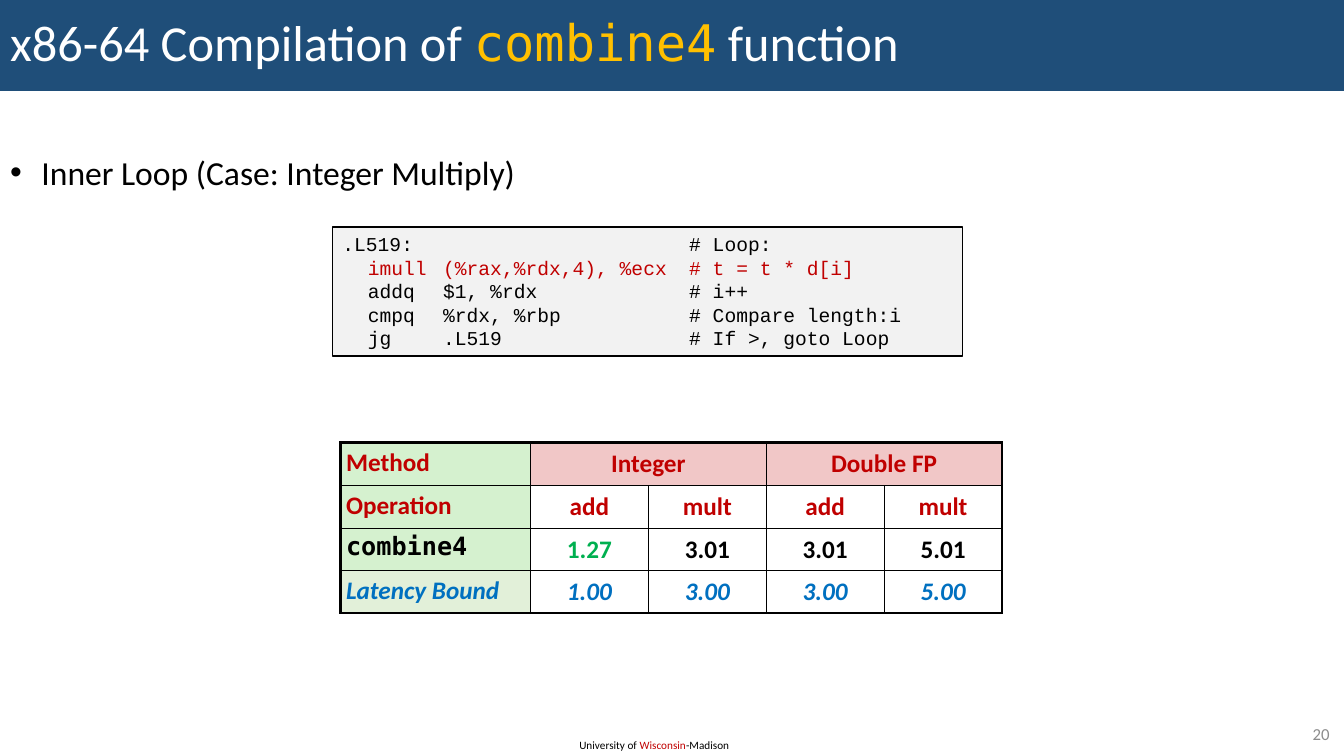
from lxml.etree import SubElement
from pptx import Presentation
from pptx.dml.color import RGBColor as RGB
from pptx.enum.shapes import MSO_SHAPE as SHAPE
from pptx.enum.text import MSO_ANCHOR as ANCHOR, MSO_AUTO_SIZE as AUTO, PP_ALIGN as ALIGN
from pptx.oxml.ns import qn
from pptx.util import Cm, Pt

COLORS = {
    "black": "000000", "white": "FFFFFF", "navy": "1F4E79", "gold": "FFC000",
    "red": "C00000", "green": "00B050", "blue": "0070C0", "gray": "8C8C8C",
    "code": "F2F2F2", "mint": "D5F1CF", "pale_mint": "E2F0D9", "pink": "F1C7C7",
}
SANS, MONO, CODE = "Calibri", "DejaVu Sans Mono", "Courier New"

CODE_TABS = (0.64, 2.54, 8.74)
CODE_LINES = [
    (".L519:\t\t# Loop:", "black"),
    ("\timull\t(%rax,%rdx,4), %ecx\t# t = t * d[i]", "red"),
    ("\taddq\t$1, %rdx\t# i++", "black"),
    ("\tcmpq\t%rdx, %rbp\t# Compare length:i", "black"),
    ("\tjg\t.L519\t# If >, goto Loop", "black"),
]

# Each row: label fill, text format of the label, text format of the values, texts
HEAD = {"color": "red"}
BOUND = {"color": "blue", "italic": True}
ROWS = [
    ("mint", HEAD, HEAD, ["Method", "Integer", "", "Double FP", ""]),
    ("mint", HEAD, HEAD, ["Operation", "add", "mult", "add", "mult"]),
    ("mint", {"name": MONO}, {}, ["combine4", "1.27", "3.01", "3.01", "5.01"]),
    ("pale_mint", BOUND, BOUND, ["Latency Bound", "1.00", "3.00", "3.00", "5.00"]),
]


def rgb(color):
    return RGB.from_string(COLORS[color])


def set_all(target, values):
    for name, value in values.items():
        setattr(target, name, value)


def add_run(p, text, size, color="black", **font):
    r = p.add_run()
    r.text = text
    set_all(r.font, {"name": SANS, "size": Pt(size), **font})
    r.font.color.rgb = rgb(color)


def place(sp, left, top, width, height):
    set_all(sp, {"left": Cm(left), "top": Cm(top), "width": Cm(width), "height": Cm(height)})


def fill(target, color):
    target.fill.solid()
    target.fill.fore_color.rgb = rgb(color)


def add_title(s, runs):
    sp = s.shapes.title
    place(sp, 0, 0, 33.87, 2.29)
    fill(sp, "navy")
    set_all(sp.text_frame, {"auto_size": AUTO.NONE, "vertical_anchor": ANCHOR.MIDDLE})
    p = sp.text_frame.paragraphs[0]
    set_all(p, {"alignment": ALIGN.LEFT, "line_spacing": 0.9, "space_before": Pt(0)})
    for text, font in runs:
        add_run(p, text, 36, **font)


def add_bullet(s, text):
    sp = s.placeholders[1]
    place(sp, 0, 3.81, 22.94, 1.9)
    sp.text_frame.auto_size = AUTO.NONE
    p = sp.text_frame.paragraphs[0]
    pPr = p._p.get_or_add_pPr()
    pPr.set("marL", str(Cm(0.79)))
    pPr.set("indent", str(-Cm(0.79)))
    SubElement(pPr, qn("a:buFont"), typeface="Arial")
    SubElement(pPr, qn("a:buChar"), char="•")
    set_all(p, {"line_spacing": 0.9, "space_before": Pt(0)})
    add_run(p, text, 24)


def add_text(s, box, runs, size, align=ALIGN.LEFT, anchor=ANCHOR.TOP):
    tf = s.shapes.add_textbox(*map(Cm, box)).text_frame
    set_all(tf, {"word_wrap": True, "vertical_anchor": anchor})
    p = tf.paragraphs[0]
    p.alignment = align
    for text, color in runs:
        add_run(p, text, size, color)


def add_code(s, box, lines):
    sp = s.shapes.add_shape(SHAPE.RECTANGLE, *map(Cm, box))
    sp.shadow.inherit = False
    fill(sp, "code")
    sp.line.color.rgb = rgb("black")
    sp.line.width = Pt(1)
    tf = sp.text_frame
    set_all(tf, {"word_wrap": True, "vertical_anchor": ANCHOR.TOP})
    for i, (text, color) in enumerate(lines):
        p = tf.add_paragraph() if i else tf.paragraphs[0]
        tabs = SubElement(p._p.get_or_add_pPr(), qn("a:tabLst"))
        for pos in CODE_TABS:
            SubElement(tabs, qn("a:tab"), pos=str(Cm(pos)), algn="l")
        p.alignment = ALIGN.LEFT
        add_run(p, text, 14, color, name=CODE)


def add_borders(cell, outer):
    """Draw thick lines on the outer sides and thin lines on the others."""
    tcPr = cell._tc.get_or_add_tcPr()
    for side in "LRTB":
        width = Pt(2.25 if side in outer else 1)
        ln = SubElement(tcPr, qn("a:ln" + side), w=str(width))
        SubElement(SubElement(ln, qn("a:solidFill")), qn("a:srgbClr"), val=COLORS["black"])


def fill_cell(cell, text, color, font, is_label):
    set_all(cell, {f"margin_{side}": Cm(0.13) for side in ("left", "right", "top", "bottom")})
    cell.vertical_anchor = ANCHOR.TOP if is_label else ANCHOR.MIDDLE
    if color:
        fill(cell, color)
    else:
        cell.fill.background()
    p = cell.text_frame.paragraphs[0]
    set_all(p, {"alignment": ALIGN.LEFT if is_label else ALIGN.CENTER, "line_spacing": 0.95})
    if text:
        add_run(p, text, 18, **{"bold": True, **font})


def add_results(s, left, top):
    widths, heights = [4.78] + [2.97] * 4, [1.09] + [1.07] * 3
    frame = s.shapes.add_table(len(heights), len(widths), Cm(left), Cm(top),
                               Cm(sum(widths)), Cm(sum(heights)))
    table = frame.table
    set_all(table, {"first_row": False, "horz_banding": False})
    for column, width in zip(table.columns, widths):
        column.width = Cm(width)
    for row, height in zip(table.rows, heights):
        row.height = Cm(height)
    for i, (label_fill, label_font, value_font, texts) in enumerate(ROWS):
        for j, text in enumerate(texts):
            cell = table.cell(i, j)
            # The merged cell that starts at (0, 3) reaches the right edge
            at_right = j == 4 or (i, j) == (0, 3)
            edges = {"L": j == 0, "R": at_right, "T": i == 0, "B": i == 3}
            add_borders(cell, [side for side, is_outer in edges.items() if is_outer])
            color = label_fill if j == 0 else "pink" if i == 0 else None
            font = label_font if j == 0 else value_font
            if text == "1.27":
                font = {"color": "green"}
            fill_cell(cell, text, color, font, j == 0)
    for j in (1, 3):
        table.cell(0, j).merge(table.cell(0, j + 1))


def main():
    prs = Presentation()
    set_all(prs, {"slide_width": Cm(33.87), "slide_height": Cm(19.05)})
    s = prs.slides.add_slide(prs.slide_layouts[1])

    # Title and list
    add_title(s, [("x86-64 Compilation of ", {"color": "white"}),
                  ("combine4", {"color": "gold", "name": MONO}),
                  (" function", {"color": "white"})])
    add_bullet(s, "Inner Loop (Case: Integer Multiply)")

    # Assembly code and measurements
    add_code(s, (8.38, 5.72, 15.88, 3.25), CODE_LINES)
    add_results(s, 8.59, 11.15)

    # Footer and page number
    add_text(s, (14.35, 18.49, 4.37, 0.61),
             [("University of ", "black"), ("Wisconsin", "red"), ("-Madison", "black")], 8)
    add_text(s, (31.83, 18.11, 1.93, 0.74), [("20", "gray")], 12, ALIGN.RIGHT, ANCHOR.MIDDLE)

    prs.save("out.pptx")


if __name__ == "__main__":
    main()
